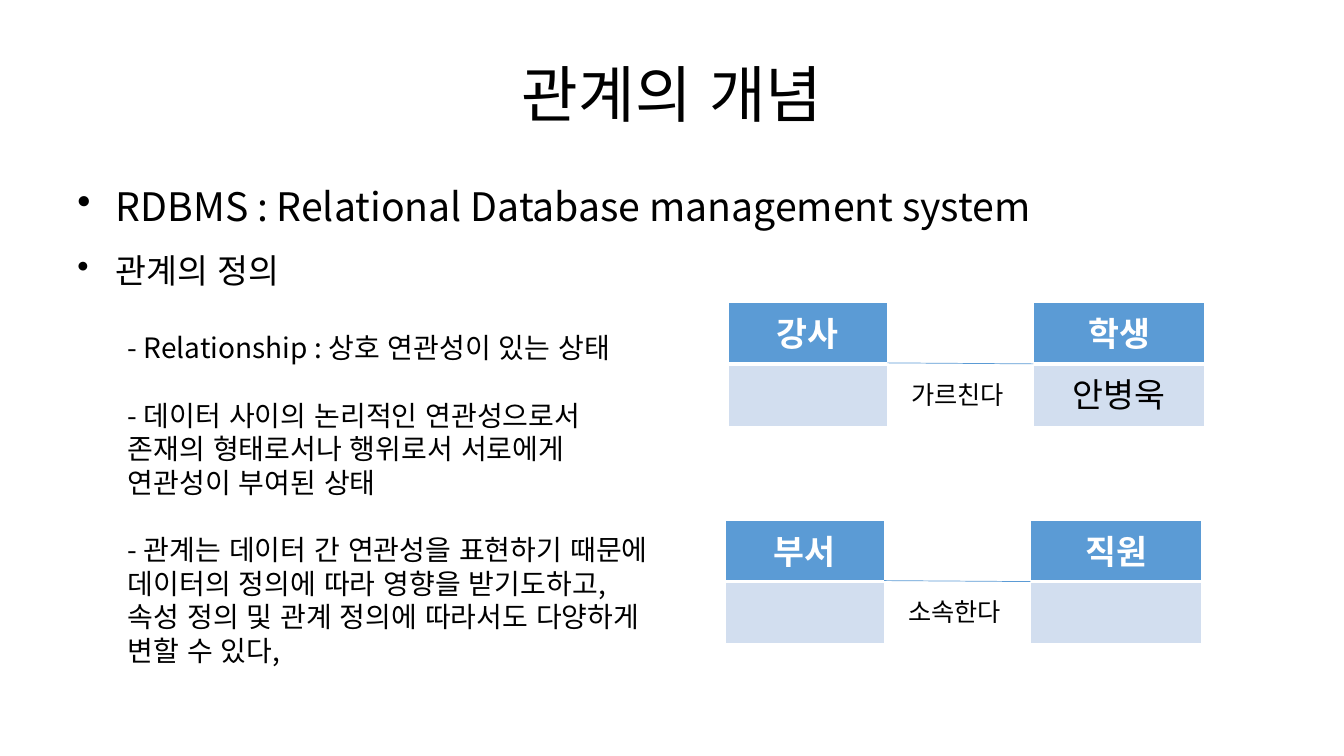
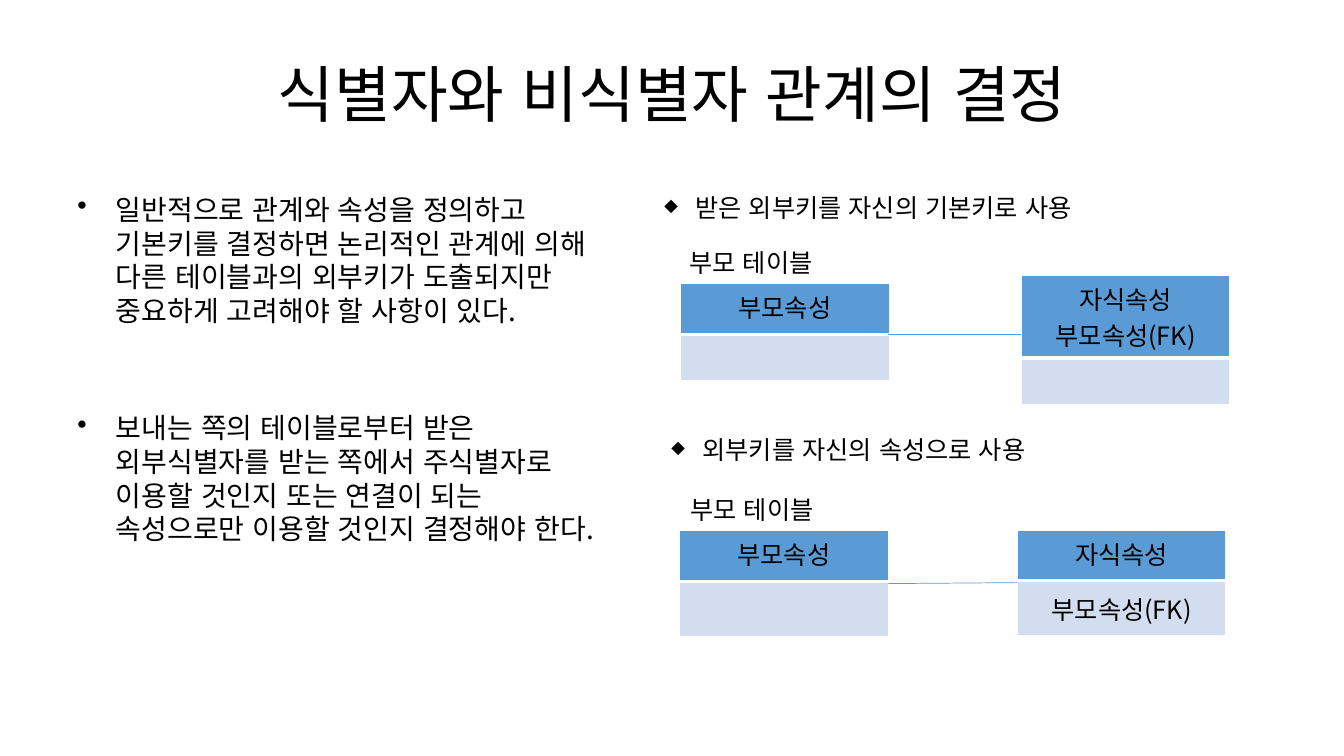
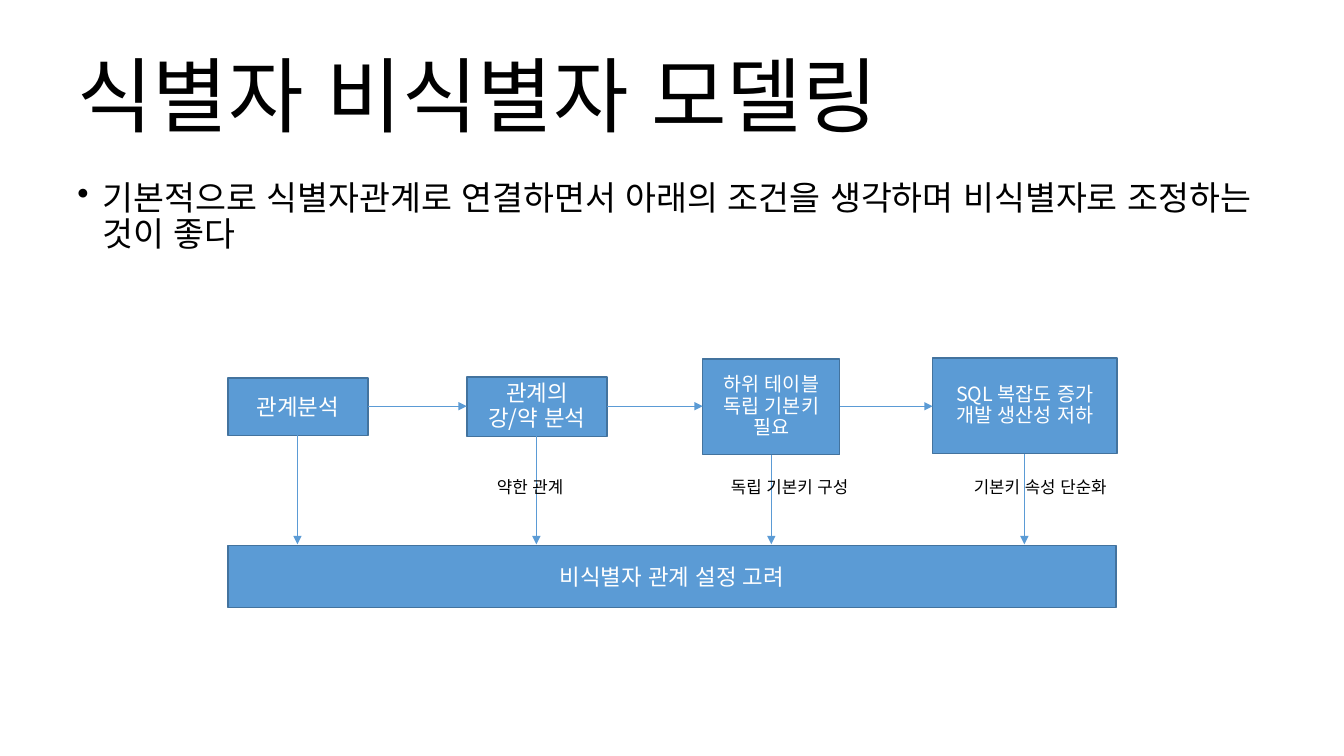
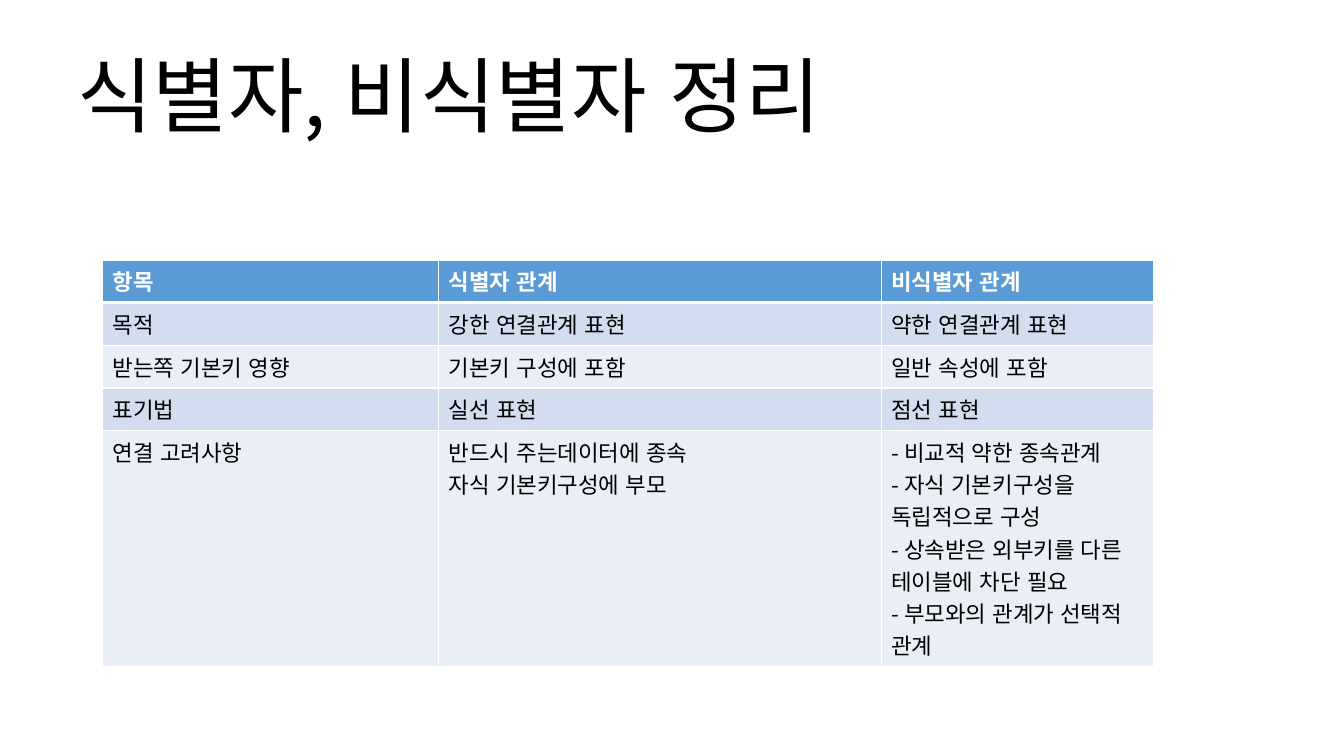
from dataclasses import dataclass

from lxml.etree import SubElement
from pptx import Presentation
from pptx.dml.color import RGBColor
from pptx.enum.lang import MSO_LANGUAGE_ID as Language
from pptx.enum.shapes import MSO_CONNECTOR as Connector
from pptx.enum.shapes import MSO_SHAPE as Shape
from pptx.enum.text import MSO_ANCHOR as Anchor
from pptx.enum.text import PP_ALIGN as Align
from pptx.oxml.ns import qn
from pptx.util import Pt

EMU_PER_PX = 9144


@dataclass(frozen=True)
class Theme:
    font: str = "Noto Sans CJK KR"
    black: str = "000000"
    white: str = "FFFFFF"
    blue: str = "5B9BD5"
    outline: str = "43739E"
    band: str = "D2DEEF"
    pale: str = "EAEFF7"
    title: float = 44
    big_title: float = 58.6
    lead: int = 28
    heading: int = 24
    body: int = 20
    label: int = 18
    cell: int = 16
    step: int = 14
    note: int = 12
    single: float = 1.0
    tight: float = 0.9


THEME = Theme()


def px(value):
    return value * EMU_PER_PX


def box(*values):
    return [px(value) for value in values]


def rgb(value):
    return RGBColor.from_string(value)


def apply(target, values):
    for name, value in values.items():
        setattr(target, name, value)


def set_bullet(paragraph, symbol, indent, scale):
    properties = paragraph._p.get_or_add_pPr()
    properties.set("marL", str(px(indent)))
    properties.set("indent", str(px(-indent) if symbol else 0))
    properties.set("hangingPunct", "0")
    if symbol:
        SubElement(properties, qn("a:buSzPct"), val=str(scale * 1000))
        SubElement(properties, qn("a:buChar"), char=symbol)


def write(frame, lines, size, color=THEME.black, bold=False, align=Align.LEFT,
          spacing=THEME.single, before=0, bullet=None, indent=0, bullet_scale=100):
    for index, line in enumerate(lines):
        first = index == 0 and not frame.text
        paragraph = frame.paragraphs[0] if first else frame.add_paragraph()
        apply(paragraph, {"alignment": align, "line_spacing": spacing,
                          "space_before": Pt(0 if first else before)})
        if indent:
            set_bullet(paragraph, bullet, indent, bullet_scale)
        run = paragraph.add_run()
        run.text = line
        apply(run.font, {"name": THEME.font, "size": Pt(size), "bold": bold,
                         "language_id": Language.KOREAN})
        run.font.color.rgb = rgb(color)
        SubElement(run._r.get_or_add_rPr(), qn("a:ea"), typeface=THEME.font)


def add_text(slide, place, lines, size, anchor=Anchor.TOP, **style):
    frame = slide.shapes.add_textbox(*box(*place)).text_frame
    apply(frame, {"word_wrap": True, "vertical_anchor": anchor})
    write(frame, lines, size, **style)
    return frame


def add_title(slide, text, size=THEME.title, align=Align.CENTER):
    add_text(slide, (67, 30, 1200, 125), [text], size, Anchor.MIDDLE, align=align)


def add_label(slide, left, top, width, text, size=THEME.label, **style):
    add_text(slide, (left, top, width, 40), [text], size, **style)


def add_block(slide, place, lines, size):
    shape = slide.shapes.add_shape(Shape.RECTANGLE, *box(*place))
    shape.shadow.inherit = False
    shape.fill.solid()
    shape.fill.fore_color.rgb = rgb(THEME.blue)
    shape.line.color.rgb = rgb(THEME.outline)
    shape.line.width = Pt(1)
    apply(shape.text_frame, {"word_wrap": True, "vertical_anchor": Anchor.MIDDLE})
    write(shape.text_frame, lines, size, THEME.white, align=Align.CENTER,
          spacing=THEME.tight if len(lines) > 1 else THEME.single)


def add_line(slide, ends, arrow=False):
    connector = slide.shapes.add_connector(Connector.STRAIGHT, *box(*ends))
    connector.line.color.rgb = rgb(THEME.blue)
    connector.line.width = Pt(0.5)
    if arrow:
        SubElement(connector.line._get_or_add_ln(), qn("a:tailEnd"), type="triangle")
    SubElement(connector._element.spPr, qn("a:effectLst"))


def set_borders(cell, row):
    properties = cell._tc.get_or_add_tcPr()
    widths = {"lnL": 1, "lnR": 1, "lnT": 3 if row == 1 else 1,
              "lnB": 3 if row == 0 else 1}
    for name, width in widths.items():
        line = SubElement(properties, qn(f"a:{name}"), w=str(Pt(width)))
        fill = SubElement(line, qn("a:solidFill"))
        SubElement(fill, qn("a:srgbClr"), val=THEME.white)


def add_table(slide, left, top, widths, heights, rows, size, header, align=Align.LEFT,
              anchor=Anchor.TOP):
    place = box(left, top, sum(widths), sum(heights))
    table = slide.shapes.add_table(len(rows), len(widths), *place).table
    apply(table, {"first_row": False, "horz_banding": False})
    for column, width in zip(table.columns, widths):
        column.width = px(width)
    for index, (row, height, texts) in enumerate(zip(table.rows, heights, rows)):
        row.height = px(height)
        fill = THEME.band if index % 2 else THEME.pale
        for cell, text in zip(row.cells, texts):
            set_borders(cell, index)
            cell.fill.solid()
            cell.fill.fore_color.rgb = rgb(fill if index else THEME.blue)
            if index:
                cell.vertical_anchor = anchor
            if text:
                style = {} if index else header
                write(cell.text_frame, text.split("\n"), size, align=align, **style)


HEADER = {"color": THEME.white, "bold": True}


def add_entity(slide, left, top, width, heights, texts, size, header):
    add_table(slide, left, top, [width], heights, [[text] for text in texts],
              size, header, Align.CENTER, Anchor.MIDDLE if size == THEME.label else Anchor.TOP)


def add_relation(slide, left, top, names, verb):
    heights = [61, 62]
    add_entity(slide, left, top, 158, heights, names[0], THEME.heading, HEADER)
    add_entity(slide, left + 303, top, 170, heights, names[1], THEME.heading, HEADER)
    add_line(slide, (left + 158, top + 60, left + 303, top + 61))
    add_label(slide, left + 172, top + 71, 130, verb)


def concept_slide(slide):
    add_title(slide, "관계의 개념")
    bullet = {"bullet": "•", "indent": 38}
    add_text(slide, (67, 176, 1200, 60),
             ["RDBMS : Relational Database management system"], THEME.lead, **bullet)
    add_relation(slide, 722, 300, (("강사", ""), ("학생", "안병욱")), "가르친다")
    add_relation(slide, 719, 516, (("부서", ""), ("직원", "")), "소속한다")
    frame = add_text(slide, (67, 243, 600, 458), ["관계의 정의"], THEME.heading, **bullet)
    write(frame, ["- Relationship : 상호 연관성이 있는 상태"], THEME.body,
          before=29, indent=50)
    write(frame, [
        "- 데이터 사이의 논리적인 연관성으로서 존재의 형태로서나 행위로서 서로에게 "
        "연관성이 부여된 상태",
        "- 관계는 데이터 간 연관성을 표현하기 때문에 데이터의 정의에 따라 영향을 "
        "받기도하고, 속성 정의 및 관계 정의에 따라서도 다양하게 변할 수 있다,",
    ], THEME.body, before=24, indent=50)


def decision_slide(slide):
    add_title(slide, "식별자와 비식별자 관계의 결정")
    add_text(slide, (67, 186, 537, 495), [
        "일반적으로 관계와 속성을 정의하고 기본키를 결정하면 논리적인 관계에 의해 "
        "다른 테이블과의 외부키가 도출되지만 중요하게 고려해야 할 사항이 있다.",
        "보내는 쪽의 테이블로부터 받은 외부식별자를 받는 쪽에서 주식별자로 이용할 "
        "것인지 또는 연결이 되는 속성으로만 이용할 것인지 결정해야 한다.",
    ], THEME.body, bullet="•", indent=38, before=60)
    entities = [
        (675, 281, (51, 46), ("부모속성", "")),
        (1013, 273, (82, 46), ("자식속성\n부모속성(FK)", "")),
        (674, 526, (51, 55), ("부모속성", "")),
        (1009, 526, (50, 55), ("자식속성", "부모속성(FK)")),
    ]
    for left, top, heights, texts in entities:
        add_entity(slide, left, top, 207, heights, texts, THEME.label, {})
    for left, top in ((674, 240), (675, 485)):
        add_label(slide, left, top, 167, "부모 테이블")
    for ends in ((881, 332, 1013, 332), (881, 579, 1009, 578)):
        add_line(slide, ends)
    for left, top, text in ((649, 186, "받은 외부키를 자신의 기본키로 사용"),
                            (656, 426, "외부키를 자신의 속성으로 사용")):
        add_label(slide, left, top, 548, text, bullet="◆", indent=31, bullet_scale=70)


def modeling_slide(slide):
    add_title(slide, "식별자 비식별자 모델링", THEME.big_title, Align.LEFT)
    add_text(slide, (67, 175, 1200, 100), [
        "기본적으로 식별자관계로 연결하면서 아래의 조건을 생각하며 비식별자로 "
        "조정하는 것이 좋다",
    ], THEME.heading, bullet="•", indent=25, spacing=THEME.tight)
    blocks = [
        ((226, 375, 139, 57), ["관계분석"], THEME.cell),
        ((463, 374, 139, 59), ["관계의", "강/약 분석"], THEME.cell),
        ((697, 356, 136, 95), ["하위 테이블", "독립 기본키 필요"], THEME.step),
        ((925, 355, 183, 95), ["SQL 복잡도 증가", "개발 생산성 저하"], THEME.step),
        ((226, 541, 881, 62), ["비식별자 관계 설정 고려"], THEME.cell),
    ]
    for block in blocks:
        add_block(slide, *block)
    steps = [place for place, _, _ in blocks[:-1]]
    for (left, _, width, _), (following, _, _, _) in zip(steps, steps[1:]):
        add_line(slide, (left + width, 403, following, 403), True)
    for left, top, width, height in steps:
        center = left + width // 2
        add_line(slide, (center, top + height, center, 540), True)
    for left, width, text in ((483, 94, "약한 관계"), (715, 151, "독립 기본키 구성"),
                              (956, 176, "기본키 속성 단순화")):
        add_label(slide, left, 468, width, text, THEME.note)


def summary_slide(slide):
    add_title(slide, "식별자, 비식별자 정리", THEME.big_title, Align.LEFT)
    add_table(slide, 102, 258, [333, 439, 270], [42, 43, 42, 42, 234], [
        ("항목", "식별자 관계", "비식별자 관계"),
        ("목적", "강한 연결관계 표현", "약한 연결관계 표현"),
        ("받는쪽 기본키 영향", "기본키 구성에 포함", "일반 속성에 포함"),
        ("표기법", "실선 표현", "점선 표현"),
        ("연결 고려사항", "반드시 주는데이터에 종속\n자식 기본키구성에 부모",
         "- 비교적 약한 종속관계\n- 자식 기본키구성을 독립적으로 구성\n"
         "- 상속받은 외부키를 다른 테이블에 차단 필요\n- 부모와의 관계가 선택적 관계"),
    ], THEME.cell, HEADER)


def main():
    presentation = Presentation()
    apply(presentation, {"slide_width": px(1333), "slide_height": px(750)})
    blank = presentation.slide_layouts[6]
    for build in (concept_slide, decision_slide, modeling_slide, summary_slide):
        build(presentation.slides.add_slide(blank))
    presentation.save("out.pptx")


if __name__ == "__main__":
    main()
